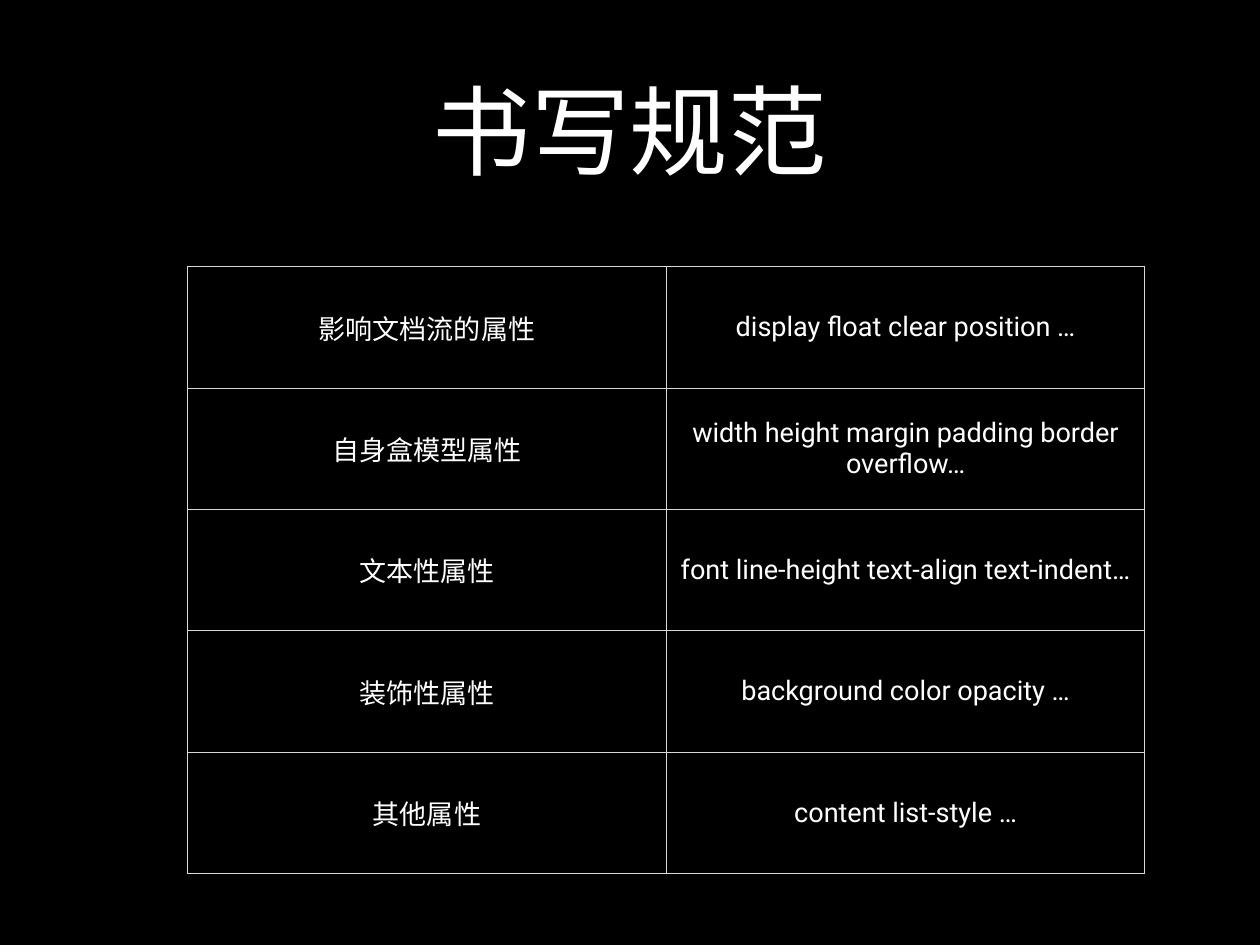
from lxml import etree
from pptx import Presentation
from pptx.dml.color import RGBColor
from pptx.enum.text import MSO_ANCHOR, PP_ALIGN
from pptx.oxml.ns import qn
from pptx.util import Cm, Pt

CENTER = PP_ALIGN.CENTER
MIDDLE = MSO_ANCHOR.MIDDLE
COLORS = {"background": "000000", "text": "FFFFFF", "border": "D6D7D6"}
FONT = "Roboto"
INSET = Cm(0.15)
COLUMN_WIDTH = Cm(13.72)
ROW_HEIGHT = Cm(3.48)

PROPERTY_GROUPS = [
    ("影响文档流的属性", "display float clear position …"),
    ("自身盒模型属性", "width height margin padding border overflow…"),
    ("文本性属性", "font line-height text-align text-indent…"),
    ("装饰性属性", "background color opacity …"),
    ("其他属性", "content list-style …"),
]


def write_text(container, text, size):
    """Write one centred run into a text frame or a table cell's frame."""
    container.word_wrap = True
    paragraph = container.paragraphs[0]
    paragraph.alignment = CENTER
    run = paragraph.add_run()
    run.text = text
    run.font.name = FONT
    run.font.size = Pt(size)
    run.font.color.rgb = RGBColor.from_string(COLORS["text"])


def set_borders(cell):
    """Draw a thin line on all four sides of a cell."""
    properties = cell._tc.get_or_add_tcPr()
    for position, side in enumerate(("a:lnL", "a:lnR", "a:lnT", "a:lnB")):
        line = etree.Element(qn(side), w=str(Pt(1)))
        fill = etree.SubElement(line, qn("a:solidFill"))
        etree.SubElement(fill, qn("a:srgbClr"), val=COLORS["border"])
        properties.insert(position, line)


# Slide and background
presentation = Presentation()
presentation.slide_width = Cm(36.12)
presentation.slide_height = Cm(27.1)
slide = presentation.slides.add_slide(presentation.slide_layouts[6])
slide.background.fill.solid()
slide.background.fill.fore_color.rgb = RGBColor.from_string(COLORS["background"])

# Title
title = slide.shapes.add_textbox(Cm(2.64), Cm(0.71), Cm(30.84), Cm(5.99))
title_frame = title.text_frame
title_frame.vertical_anchor = MIDDLE
title_frame.margin_left = title_frame.margin_right = INSET
title_frame.margin_top = title_frame.margin_bottom = INSET
write_text(title_frame, "书写规范", 80)

# Table of property groups
row_count = len(PROPERTY_GROUPS)
table = slide.shapes.add_table(
    row_count, 2, Cm(5.38), Cm(7.65), COLUMN_WIDTH * 2, ROW_HEIGHT * row_count
).table
table.first_row = False
table.horz_banding = False
for column in table.columns:
    column.width = COLUMN_WIDTH

for row, texts in zip(table.rows, PROPERTY_GROUPS):
    row.height = ROW_HEIGHT
    for cell, text in zip(row.cells, texts):
        cell.vertical_anchor = MIDDLE
        cell.margin_left = cell.margin_right = INSET
        cell.margin_top = cell.margin_bottom = INSET
        cell.fill.background()
        set_borders(cell)
        write_text(cell.text_frame, text, 22)

presentation.save("out.pptx")
